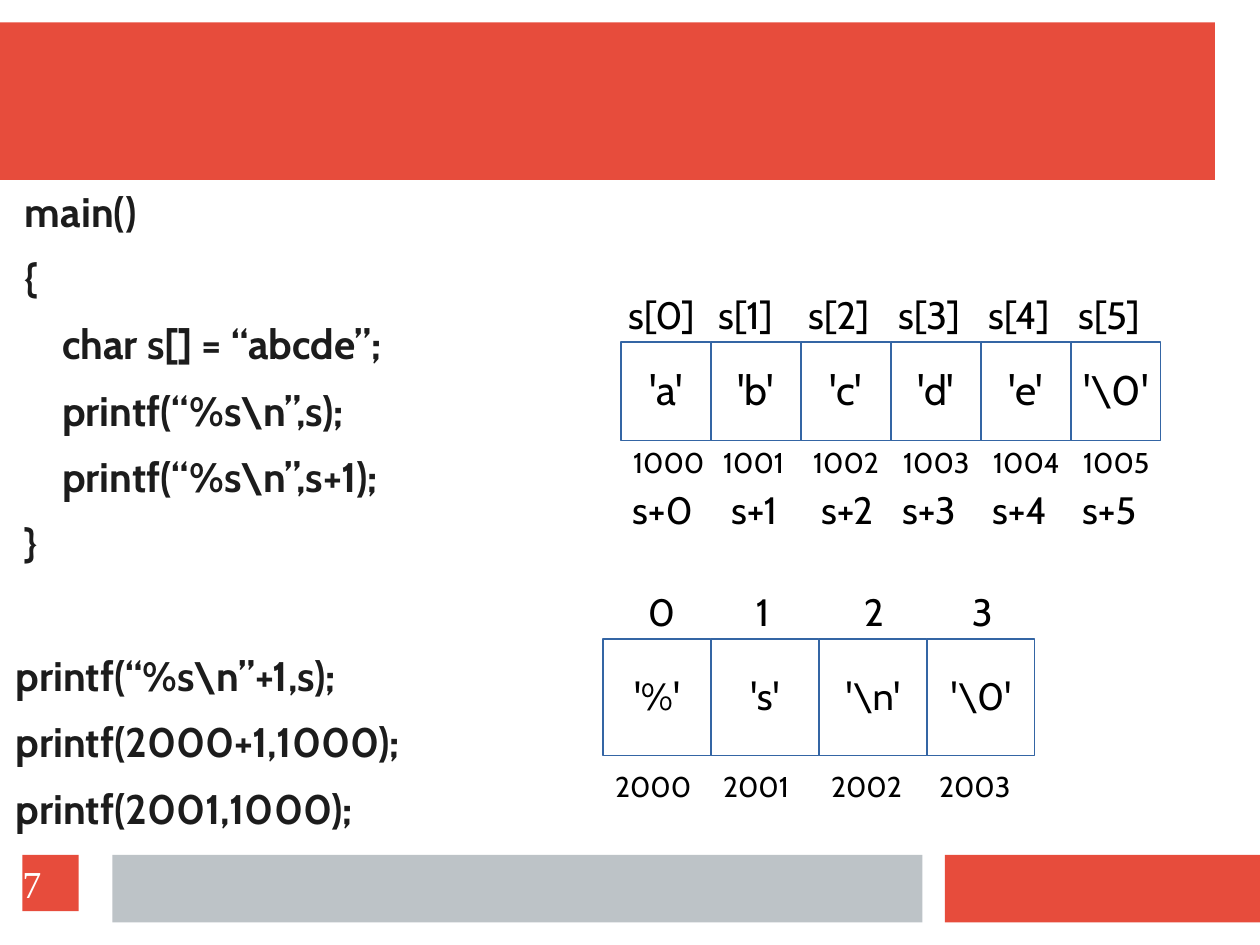
from pptx import Presentation
from pptx.dml.color import RGBColor
from pptx.enum import shapes, text
from pptx.util import Cm, Pt

RED, GREY, WHITE, BLACK = "E74C3C", "BDC3C7", "FFFFFF", "000000"
INK, BLUE = "1C1C1C", "3465A4"

deck = Presentation()
deck.slide_width, deck.slide_height = Cm(28), Cm(21)
slide = deck.slides.add_slide(deck.slide_layouts[6])


def add_box(left, top, width, height, fill=None, line=None):
    """Add a rectangle when a fill is given, otherwise a text box."""
    place = [Cm(v) for v in (left, top, width, height)]
    if fill is None:
        return slide.shapes.add_textbox(*place)
    box = slide.shapes.add_shape(shapes.MSO_SHAPE.RECTANGLE, *place)
    box.shadow.inherit = False
    box.fill.solid()
    box.fill.fore_color.rgb = RGBColor.from_string(fill)
    if line:
        box.line.color.rgb = RGBColor.from_string(line)
        box.line.width = Pt(0.75)
    else:
        box.line.fill.background()
    return box


def write(box, lines, size, color=BLACK, font="Cabin", bold=False,
          align=text.PP_ALIGN.LEFT, spacing=0.97, after=0, **frame_format):
    """Fill a box with paragraphs; frame_format goes to its text frame."""
    frame = box.text_frame
    for name, value in frame_format.items():
        setattr(frame, name, value)
    frame.text = "\n".join(lines)
    for paragraph in frame.paragraphs:
        paragraph.alignment = align
        paragraph.line_spacing = spacing
        paragraph.space_after = Pt(after)
        paragraph.font.size = Pt(size)
        paragraph.font.name = font
        paragraph.font.bold = bold
        paragraph.font.color.rgb = RGBColor.from_string(color)
    return frame


no_margins = dict(margin_left=0, margin_right=0, margin_top=0, margin_bottom=0)

# Title band and footer
add_box(0, 0.5, 27, 3.5, RED)
add_box(21, 19, 7, 1.5, RED)
add_box(2.5, 19, 18, 1.5, GREY)
page_number = add_box(0.5, 19, 1.25, 1.25, RED)
write(page_number, ["7"], 24, WHITE, "Times New Roman", spacing=1,
      vertical_anchor=text.MSO_ANCHOR.MIDDLE, **no_margins)

# Program and the equivalent calls below it
program = [
    " main()",
    " {",
    "     char s[] = “abcde”;",
    "     printf(“%s\\n”,s);",
    "     printf(“%s\\n”,s+1);",
    " }",
]
calls = ["printf(“%s\\n”+1,s);", "printf(2000+1,1000);", "printf(2001,1000);"]
code = write(add_box(0.35, 4.2, 12.25, 14.4), program + calls, 26, INK,
             bold=True, after=11.5, word_wrap=True, **no_margins)
code.paragraphs[len(program)].space_before = Pt(41.8)

# Memory layout of the two strings
arrays = [
    dict(chars=["'a'", "'b'", "'c'", "'d'", "'e'", "'\\0'"], size=26,
         left=13.8, top=7.6, width=2, height=2.2, index="s[{}]",
         index_left=13.71, index_top=6.4, address=1000, address_top=9.8),
    dict(chars=["'%'", "'s'", "'\\n'", "'\\0'"], size=24,
         left=13.4, top=14.2, width=2.4, height=2.6, index="{}",
         index_left=14.15, index_top=13, address=2000, address_top=17),
]
for array in arrays:
    for i, char in enumerate(array["chars"]):
        shift = i * array["width"]
        cell = add_box(array["left"] + shift, array["top"], array["width"],
                       array["height"], WHITE, BLUE)
        write(cell, [char], array["size"], align=text.PP_ALIGN.CENTER,
              word_wrap=False, vertical_anchor=text.MSO_ANCHOR.MIDDLE)
        index = add_box(array["index_left"] + shift, array["index_top"], 2.2, 1.27)
        write(index, [array["index"].format(i)], 24, word_wrap=True)
        address = add_box(array["left"] + 0.02 + shift, array["address_top"], 2.3, 1)
        write(address, [str(array["address"] + i)], 18, word_wrap=True)

# Pointer expressions under the first string
for i, nudge in enumerate([0, 0.2, 0.2, 0, 0, 0]):
    pointer = add_box(13.8 + 2 * i + nudge, 10.75, 2.2, 1.27)
    write(pointer, [f"s+{i}"], 24, word_wrap=True)

deck.save("out.pptx")
